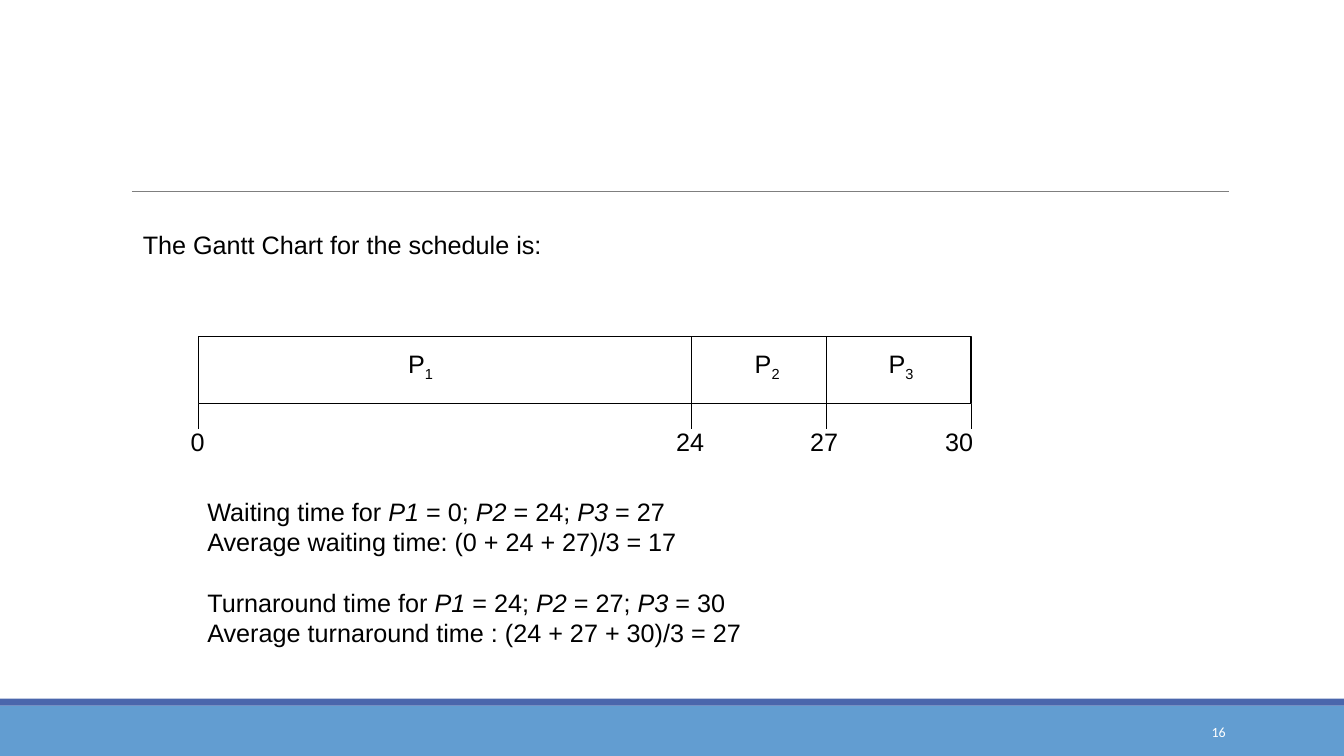
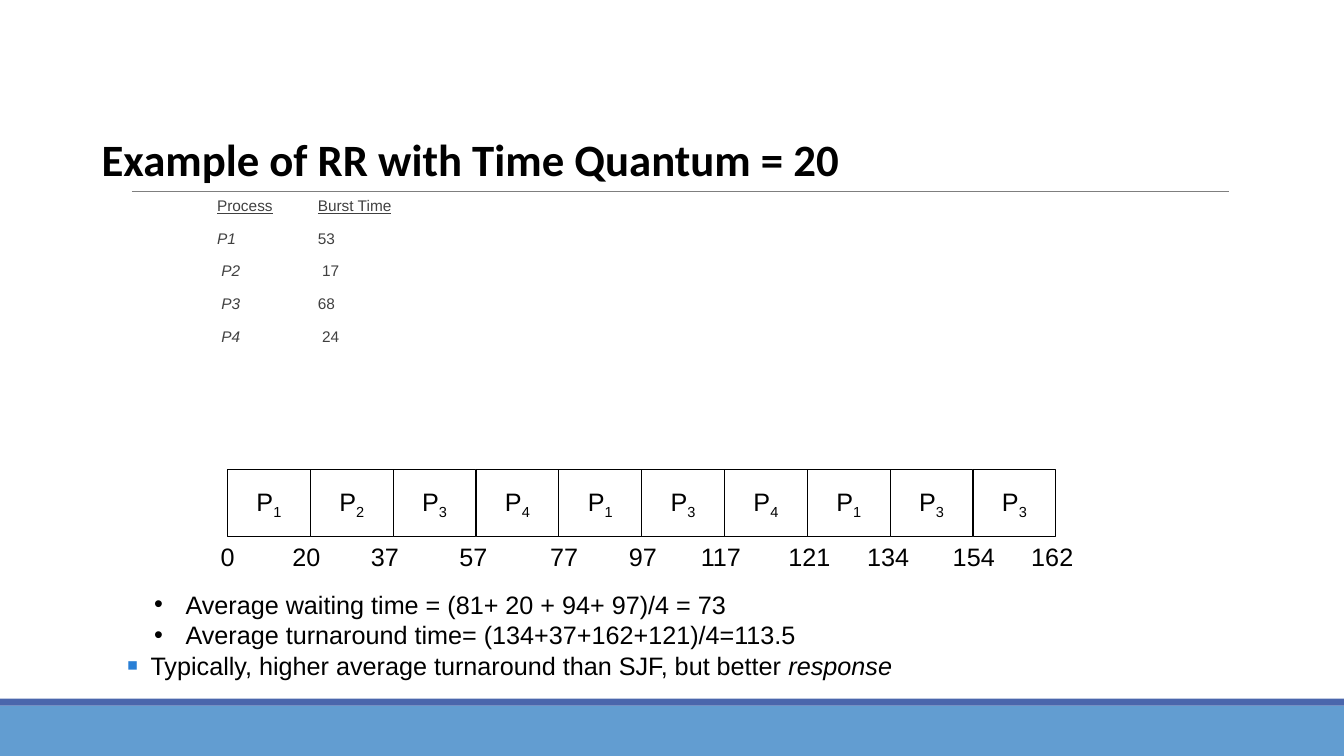
from dataclasses import dataclass
from typing import NamedTuple, Optional, Sequence, Union

from lxml.etree import SubElement
from pptx import Presentation
from pptx.dml.color import RGBColor
from pptx.enum.shapes import MSO_CONNECTOR as Connector, MSO_SHAPE as Preset
from pptx.enum.text import MSO_ANCHOR as Anchor, PP_ALIGN as Align
from pptx.oxml.ns import qn
from pptx.shapes.autoshape import Shape
from pptx.slide import Slide
from pptx.text.text import TextFrame
from pptx.util import Pt

# Colours and fonts
BLACK = RGBColor(0x00, 0x00, 0x00)
WHITE = RGBColor(0xFF, 0xFF, 0xFF)
GRAY = RGBColor(0x40, 0x40, 0x40)
RULE_GRAY = RGBColor(0x7F, 0x7F, 0x7F)
FOOTER_BLUE = RGBColor(0x62, 0x9D, 0xD1)
STRIPE_BLUE = RGBColor(0x4A, 0x66, 0xAC)
BULLET_BLUE = RGBColor(0x29, 0x7F, 0xD5)
BODY_FONT, HEAD_FONT = "Arial", "Calibri"

# Shared measures, in points
SLIDE_WIDTH, SLIDE_HEIGHT = 960.48, 540
BAR_HEIGHT = 48
LABEL_WIDTH, LABEL_HEIGHT = 56, 29


class Box(NamedTuple):
    left: float
    top: float
    width: float
    height: float


@dataclass(frozen=True)
class Run:
    text: str
    italic: bool = False
    underline: bool = False
    subscript: bool = False


@dataclass(frozen=True)
class Bullet:
    char: str
    color: RGBColor
    indent: float
    percent: int = 100


@dataclass(frozen=True)
class Label:
    text: str
    center: float


Line = Sequence[Union[str, Run]]


def italic(text: str) -> Run:
    return Run(text, italic=True)


def process(number: int) -> Line:
    return ["P", Run(str(number), subscript=True)]


# Text
def add_bullet(properties, bullet: Bullet) -> None:
    properties.set("marL", str(Pt(bullet.indent)))
    properties.set("indent", str(-Pt(bullet.indent)))
    color = SubElement(properties, qn("a:buClr"))
    SubElement(color, qn("a:srgbClr"), val=str(bullet.color))
    SubElement(properties, qn("a:buSzPct"), val=str(bullet.percent * 1000))
    SubElement(properties, qn("a:buFont"), typeface=BODY_FONT)
    SubElement(properties, qn("a:buChar"), char=bullet.char)


def write(frame: TextFrame, lines: Sequence[Line], *, size: float = 18,
          font: str = BODY_FONT, color: RGBColor = BLACK, bold: bool = False,
          align: Align = Align.LEFT, anchor: Anchor = Anchor.TOP,
          wrap: bool = True, line_spacing: Optional[float] = None,
          before: float = 0, after: float = 0,
          bullet: Optional[Bullet] = None, tab: Optional[float] = None) -> None:
    frame.word_wrap = wrap
    frame.vertical_anchor = anchor
    for index, line in enumerate(lines):
        paragraph = frame.add_paragraph() if index else frame.paragraphs[0]
        paragraph.alignment = align
        paragraph.space_before, paragraph.space_after = Pt(before), Pt(after)
        if line_spacing:
            paragraph.line_spacing = line_spacing
        properties = paragraph._p.get_or_add_pPr()
        if bullet:
            add_bullet(properties, bullet)
        if tab:
            tabs = SubElement(properties, qn("a:tabLst"))
            SubElement(tabs, qn("a:tab"), pos=str(Pt(tab)), algn="l")
        for part in line:
            part = Run(part) if isinstance(part, str) else part
            run = paragraph.add_run()
            run.text = part.text
            run.font.name, run.font.size = font, Pt(size)
            run.font.color.rgb = color
            run.font.bold, run.font.italic = bold, part.italic
            run.font.underline = part.underline
            if part.subscript:
                run._r.get_or_add_rPr().set("baseline", "-25000")


def add_text(slide: Slide, box: Box, lines: Sequence[Line], **style) -> None:
    textbox = slide.shapes.add_textbox(*map(Pt, box))
    write(textbox.text_frame, lines, **style)


# Shapes
def add_rectangle(slide: Slide, box: Box, fill: RGBColor,
                  outline: Optional[RGBColor] = None) -> Shape:
    rectangle = slide.shapes.add_shape(Preset.RECTANGLE, *map(Pt, box))
    rectangle.shadow.inherit = False
    rectangle.fill.solid()
    rectangle.fill.fore_color.rgb = fill
    if outline is None:
        rectangle.line.fill.background()
    else:
        rectangle.line.color.rgb = outline
        rectangle.line.width = Pt(0.75)
    return rectangle


def add_line(slide: Slide, x1: float, y1: float, x2: float, y2: float,
             color: RGBColor = BLACK, weight: float = 0.75) -> None:
    line = slide.shapes.add_connector(Connector.STRAIGHT,
                                      *map(Pt, (x1, y1, x2, y2)))
    line.line.color.rgb = color
    line.line.width = Pt(weight)
    SubElement(line._element.spPr, qn("a:effectLst"))


def add_labels(slide: Slide, labels: Sequence[Label], middle: float) -> None:
    for label in labels:
        add_text(slide, Box(label.center - LABEL_WIDTH / 2,
                            middle - LABEL_HEIGHT / 2,
                            LABEL_WIDTH, LABEL_HEIGHT),
                 [[label.text]], align=Align.CENTER, anchor=Anchor.MIDDLE,
                 wrap=False)


def add_base(deck) -> Slide:
    """Blank slide with the rule and footer bands."""
    slide = deck.slides.add_slide(deck.slide_layouts[6])
    add_rectangle(slide, Box(0, 504, SLIDE_WIDTH, 36), FOOTER_BLUE)
    add_rectangle(slide, Box(0, 499, SLIDE_WIDTH, 5), STRIPE_BLUE)
    add_line(slide, 94.3, 136.8, 878.4, 136.8, RULE_GRAY, 0.5)
    return slide


# Slides
def build_fcfs(deck) -> None:
    slide = add_base(deck)
    add_text(slide, Box(780, 508.3, 103, 28.8), [["16"]], size=10,
             font=HEAD_FONT, color=WHITE, align=Align.RIGHT,
             anchor=Anchor.MIDDLE)
    add_text(slide, Box(95, 160, 318, LABEL_HEIGHT),
             [["The Gantt Chart for the schedule is:"]])

    # Gantt bar with dividers and ticks
    edges = (141.8, 494, 590.4, 694)
    top, tick = 240.5, 18
    bottom = top + BAR_HEIGHT
    add_rectangle(slide, Box(edges[0], top, edges[-1] - edges[0], BAR_HEIGHT),
                  WHITE, BLACK)
    for edge in edges[1:-1]:
        add_line(slide, edge, top, edge, bottom)
    for edge in edges:
        add_line(slide, edge, bottom, edge, bottom + tick)
    for number, center in enumerate((300.6, 548.3, 644), start=1):
        add_text(slide, Box(center - LABEL_WIDTH / 2, 245.3, LABEL_WIDTH, 31.7),
                 [process(number)], align=Align.CENTER, anchor=Anchor.MIDDLE,
                 wrap=False)
    add_labels(slide, [Label("0", 141.2), Label("24", 493.2),
                       Label("27", 589), Label("30", 685.4)], 315)

    # Waiting and turnaround times
    results = (
        (351, [["Waiting time for ", italic("P1"), " = 0; ", italic("P2"),
                " = 24; ", italic("P3"), " = 27"],
               ["Average waiting time: (0 + 24 + 27)/3 = 17"]]),
        (416, [["Turnaround time for ", italic("P1"), " = 24; ",
                italic("P2"), " = 27; ", italic("P3"), " = 30"],
               ["Average turnaround time : (24 + 27 + 30)/3 = 27"]]),
    )
    for result_top, lines in results:
        add_text(slide, Box(141.1, result_top, 592, 51), lines)


def build_round_robin(deck) -> None:
    slide = add_base(deck)
    add_text(slide, Box(65.5, 69.8, 845, 66.2),
             [["Example of RR with Time Quantum = 20"]], size=32,
             font=HEAD_FONT, bold=True, anchor=Anchor.BOTTOM,
             line_spacing=0.85)

    # Burst times
    bursts = (("P1", "53"), (" P2", " 17"), (" P3", "68"), (" P4", " 24"))
    heading = [Run("Process", underline=True), "\t",
               Run("Burst Time", underline=True)]
    add_text(slide, Box(148, 140.4, 300, 125),
             [heading, *([italic(name), f"\t{burst}"] for name, burst in bursts)],
             size=11, color=GRAY, line_spacing=0.7, before=12, after=2, tab=72)

    # Gantt bar of equal cells
    left, top, width = 162.6, 335.4, 59.2
    for index, number in enumerate((1, 2, 3, 4, 1, 3, 4, 1, 3, 3)):
        cell = add_rectangle(slide, Box(left + index * width, top, width,
                                        BAR_HEIGHT), WHITE, BLACK)
        write(cell.text_frame, [process(number)], align=Align.CENTER,
              anchor=Anchor.MIDDLE, wrap=False)
    times = (0, 20, 37, 57, 77, 97, 117, 121, 134, 154, 162)
    centers = (162.7, 218.9, 275, 338.4, 403.2, 459.4, 515.2, 578.5, 634.7,
               695.9, 752)
    add_labels(slide, [Label(str(time), center)
                       for time, center in zip(times, centers)], 397.5)

    # Conclusions
    add_text(slide, Box(83.5, 460.8, 781, LABEL_HEIGHT),
             [["Typically, higher average turnaround than SJF, but better ",
               italic("response")]],
             bullet=Bullet("▪", BULLET_BLUE, 17, 135))
    add_text(slide, Box(103, 417.2, 800, 51),
             [["Average waiting time = (81+ 20 + 94+ 97)/4 = 73"],
              ["Average turnaround time= (134+37+162+121)/4=113.5"]],
             bullet=Bullet("•", BLACK, 22.5))


def main() -> None:
    deck = Presentation()
    deck.slide_width, deck.slide_height = Pt(SLIDE_WIDTH), Pt(SLIDE_HEIGHT)
    build_fcfs(deck)
    build_round_robin(deck)
    deck.save("out.pptx")


if __name__ == "__main__":
    main()
